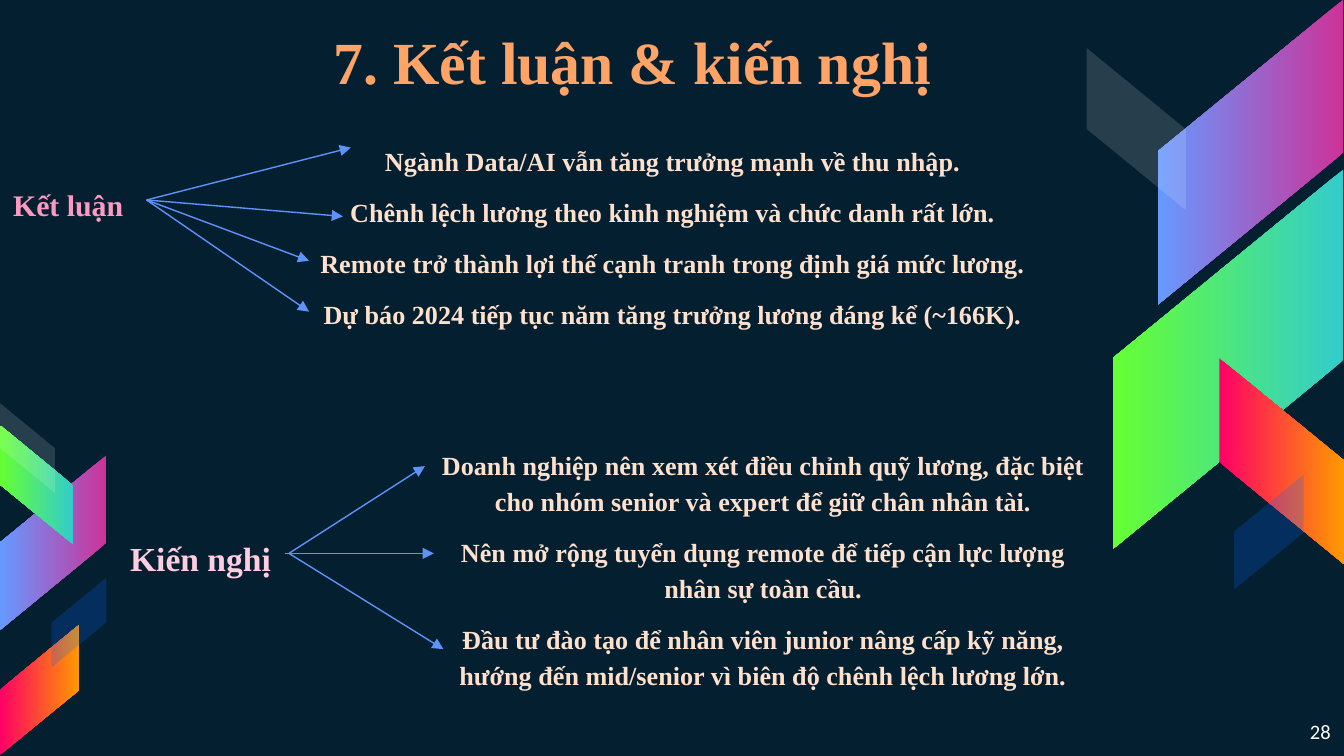
import pptx
import pptx.dml.color
import pptx.enum.shapes
import pptx.enum.text
import pptx.oxml
import pptx.oxml.ns
import pptx.util
from lxml import etree

Cm = pptx.util.Cm
Pt = pptx.util.Pt
ALIGN = pptx.enum.text.PP_ALIGN
ANCHOR = pptx.enum.text.MSO_ANCHOR
SERIF = "Times New Roman"


def color(code):
    return pptx.dml.color.RGBColor.from_string(code)


def add_child(parent, tag, **attributes):
    return etree.SubElement(parent, pptx.oxml.ns.qn(tag), **attributes)


def apply(target, values):
    for name, value in values.items():
        setattr(target, name, value)


class SlideBuilder:
    ARROW = "5F93FC"
    SLANT = 0.819

    def __init__(self, deck, background):
        self.page = deck.slides.add_slide(deck.slide_layouts[6])
        self.page.background.fill.solid()
        self.page.background.fill.fore_color.rgb = color(background)

    def band(self, place, rotation, flipped, paint):
        shape = self.page.shapes.add_shape(
            pptx.enum.shapes.MSO_SHAPE.PARALLELOGRAM, *map(Cm, place))
        shape.adjustments[0] = self.SLANT
        shape.rotation = rotation
        shape.shadow.inherit = False
        shape.line.fill.background()
        if flipped:
            shape.element.spPr.xfrm.set("flipH", "1")
        first, second = paint
        if isinstance(second, str):
            shape.fill.gradient()
            shape.fill.gradient_angle = 270
            for stop, code in zip(shape.fill.gradient_stops, paint):
                stop.color.rgb = color(code)
        else:
            shape.fill.solid()
            shape.fill.fore_color.rgb = color(first)
            code = shape.element.spPr.find(".//" + pptx.oxml.ns.qn("a:srgbClr"))
            add_child(code, "a:alpha", val=str(second * 1000))

    def text(self, place, lines, size, code, align=ALIGN.LEFT, font=SERIF,
             bold=True, spacing=1.15, inset=0.13, anchor=ANCHOR.TOP):
        box = self.page.shapes.add_textbox(*map(Cm, place))
        frame = box.text_frame
        apply(frame, {
            "word_wrap": True, "vertical_anchor": anchor,
            "margin_left": Cm(0.25), "margin_right": Cm(0.25),
            "margin_top": Cm(inset), "margin_bottom": Cm(inset)})
        for index, line in enumerate(lines):
            para = frame.add_paragraph() if index else frame.paragraphs[0]
            apply(para, {"alignment": align, "line_spacing": spacing,
                         "space_before": Pt(8 if index else 0)})
            span = para.add_run()
            span.text = line
            apply(span.font, {"name": font, "size": Pt(size), "bold": bold})
            span.font.color.rgb = color(code)

    def arrow(self, start, end):
        connector = self.page.shapes.add_connector(
            pptx.enum.shapes.MSO_CONNECTOR.STRAIGHT, *map(Cm, start + end))
        connector.line.width = Pt(0.75)
        connector.line.color.rgb = color(self.ARROW)
        add_child(connector.line._get_or_add_ln(), "a:tailEnd", type="triangle")
        add_child(connector.element.spPr, "a:effectLst")

    def fan(self, start, ends):
        for end in ends:
            self.arrow(start, end)


PURPLE = ("CC3399", "6699FF")
GREEN = ("33CCCC", "66FF33")
ORANGE = ("FF0066", "FF9900")
MIST = ("FFFFFF", 14)
NAVY = ("0066FF", 22)

BANDS = [
    ((20.75, 1.12, 5.77, 3.51), 90, True, PURPLE),
    ((19.63, 4.62, 7.16, 4.34), 90, True, GREEN),
    ((22.28, 7.54, 3.89, 2.36), 270, False, ORANGE),
    ((19.94, 1.5, 3.07, 1.88), 270, False, MIST),
    ((22.89, 9.4, 2.18, 1.32), 270, True, NAVY),
    ((-0.64, 9.25, 3.3, 2.01), 90, True, PURPLE),
    ((-0.43, 8.48, 2.24, 1.37), 90, False, GREEN),
    ((-0.48, 12.29, 2.46, 1.5), 270, True, ORANGE),
    ((-0.33, 7.95, 1.7, 1.04), 270, False, MIST),
    ((0.64, 11.25, 1.7, 1.04), 270, True, NAVY),
]

CONCLUSIONS = [
    "Ngành Data/AI vẫn tăng trưởng mạnh về thu nhập.",
    "Chênh lệch lương theo kinh nghiệm và chức danh rất lớn.",
    "Remote trở thành lợi thế cạnh tranh trong định giá mức lương.",
    "Dự báo 2024 tiếp tục năm tăng trưởng lương đáng kể (~166K).",
]

PROPOSALS = [
    "Doanh nghiệp nên xem xét điều chỉnh quỹ lương, đặc biệt cho nhóm senior "
    "và expert để giữ chân nhân tài.",
    "Nên mở rộng tuyển dụng remote để tiếp cận lực lượng nhân sự toàn cầu.",
    "Đầu tư đào tạo để nhân viên junior nâng cấp kỹ năng, hướng đến mid/senior "
    "vì biên độ chênh lệch lương lớn.",
]


def main():
    deck = pptx.Presentation()
    apply(deck, {"slide_width": Cm(25.4), "slide_height": Cm(14.29)})
    slide = SlideBuilder(deck, "041F30")
    for band in BANDS:
        slide.band(*band)

    slide.text((1.96, -0.13, 19.99, 2.57), ["7. Kết luận & kiến nghị"], 32,
               "FFA366", ALIGN.CENTER, spacing=1.0, inset=0.25,
               anchor=ANCHOR.MIDDLE)
    slide.text((23.77, 13.36, 1.63, 0.91), ["28"], 11, "FFFFFF", ALIGN.RIGHT,
               font="Calibri", bold=False, spacing=1.0, inset=0.25)

    slide.text((0, 3.3, 2.77, 0.99), ["Kết luận"], 16, "FE99C1")
    slide.text((4.88, 2.54, 15.67, 3.81), CONCLUSIONS, 14, "FFE0CC", ALIGN.CENTER)
    slide.fan((2.77, 3.78),
              [(6.63, 2.79), (6.48, 4.09), (5.84, 4.93), (5.84, 5.89)])

    slide.text((2.21, 9.93, 3.25, 1.07), ["Kiến nghị"], 18, "FFCCE0")
    slide.text((8.05, 8.28, 12.75, 4.9), PROPOSALS, 14, "FFE0CC", ALIGN.CENTER)
    slide.arrow((5.38, 10.46), (8.2, 10.46))
    slide.fan((5.46, 10.46), [(8.03, 8.81), (8.38, 12.27)])

    deck.save("out.pptx")


if __name__ == "__main__":
    main()
